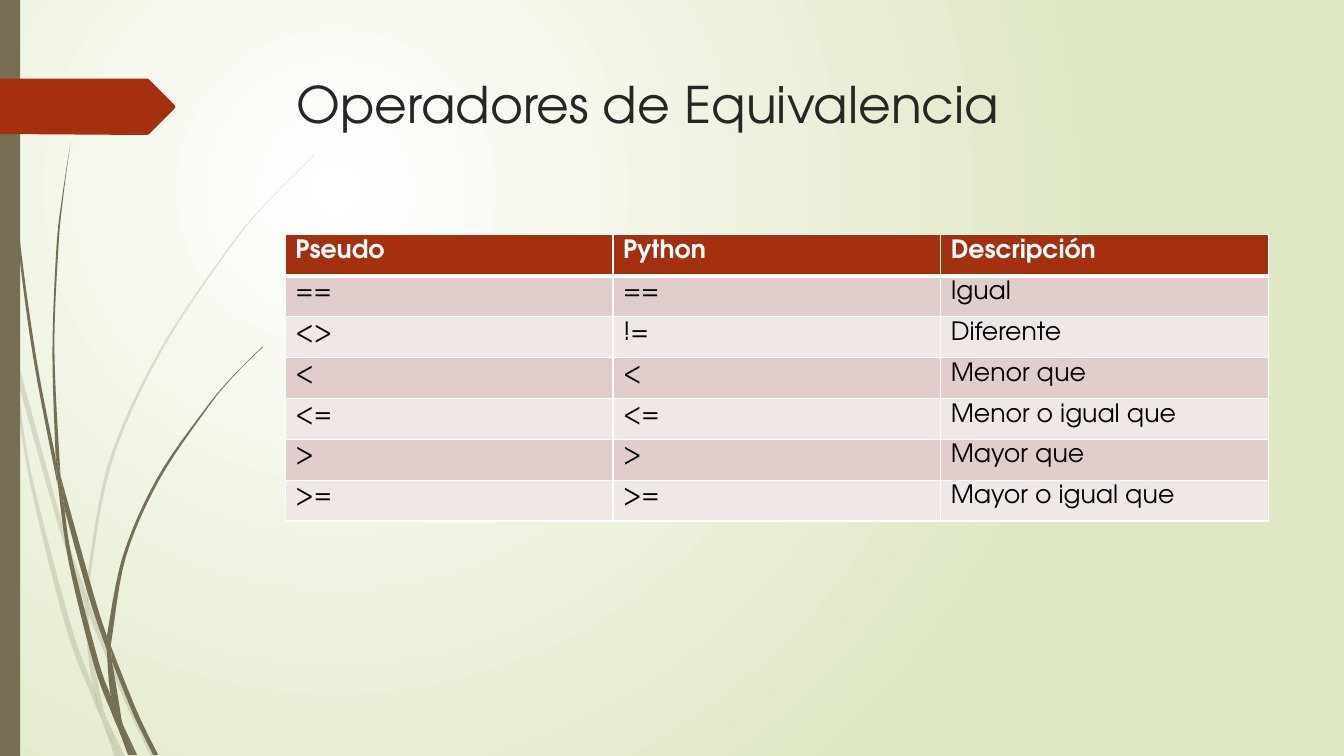
import pptx
import pptx.util
import pptx.dml.color
import pptx.enum.shapes
import pptx.enum.text
import pptx.oxml
import pptx.oxml.ns
from pptx.util import Inches

FONT = "TeX Gyre Adventor"
OLIVE, RUST, WHITE, INK, BLACK = "766F54", "A53010", "FFFFFF", "262626", "000000"
BANDS = ["E1CDCC", "F0E8E7"]
NS = 'xmlns:a="http://schemas.openxmlformats.org/drawingml/2006/main"'

# Each grass piece is a closed outline: smooth edges split by "|", knots in inches.
PALE_GRASS = [
    "0.11,3.5 0.09,3.22 0,2.82 | 0,2.99 0.1,3.44",
    "0.17,3.76 0.58,5.22 0.84,5.99 | 0.85,5.86 0.62,5.2 0.14,3.45",
    "0.88,6.1 1.23,6.94 1.5,7.51 | 1.55,7.51 1.27,6.92 0.92,6.07 0.88,5.96",
    "1.05,7.11 1.19,7.51 | 1.24,7.51 1.05,7.11",
    "0.11,3.5 0.28,4.7 0.65,6.21 0.92,6.93 1.01,7.14 | "
    "0.99,7.07 0.93,6.83 0.7,6.19 0.31,4.69 0.17,3.76",
    "0.84,5.99 0.87,6.46 0.93,6.83 1.05,7.11 | 1.03,7.06 0.91,6.46 0.88,6.1",
    "0.88,5.96 0.88,5.84 1.1,4.62 1.6,3.49 2.29,2.45 2.68,1.98 3.12,1.54 | "
    "3.12,1.53 2.68,1.97 2.28,2.44 1.58,3.48 1.07,4.61 0.85,5.84",
    "1.01,7.14 1.14,7.51 | 1.19,7.51 1.01,7.14",
    "0.88,6.1 0.88,5.96 | 0.85,5.86 0.84,5.99",
    "0.93,6.83 1.01,7.14 1.19,7.51 | 1.05,7.11 0.96,6.92",
]
DARK_GRASS = [
    "0.04,0 0.08,1.09 0.19,2.32 0.36,3.55 0.55,4.53 | "
    "0.57,4.81 0.33,3.55 0.17,2.33 0.07,1.1 0.03,0",
    "0.64,5.05 0.88,5.92 1.06,6.45 | 1.06,6.31 0.93,5.9 0.6,4.72",
    "1.11,6.56 1.32,7.08 1.52,7.49 | 1.57,7.49 1.36,7.06 1.1,6.41",
    "0.57,4.77 0.68,5.57 0.93,6.59 1.11,7.08 1.17,7.22 | "
    "1.16,7.17 1.1,6.91 0.98,6.57 0.72,5.56 0.64,5.05",
    "0.6,4.72 0.54,3.49 0.58,2.45 0.63,1.93 0.7,1.41 | "
    "0.7,1.41 0.62,1.93 0.56,2.45 0.52,3.49 0.55,4.49",
    "1.22,7.19 1.33,7.49 | 1.36,7.49 1.22,7.19",
    "0.55,4.49 0.57,4.77 0.64,5.05 | 0.6,4.72 0.55,4.49",
    "1.1,6.41 1.11,6.33 1.25,5.52 1.58,4.76 2.05,4.06 2.31,3.74 2.61,3.44 | "
    "2.6,3.44 2.31,3.73 2.04,4.05 1.56,4.74 1.22,5.51 1.06,6.31",
    "1.17,7.22 1.27,7.49 | 1.31,7.49 1.17,7.22",
    "1.06,6.45 1.1,6.91 1.22,7.19 | 1.21,7.16 1.11,6.56 1.06,6.45",
    "1.06,6.45 1.11,6.56 | 1.1,6.41 1.06,6.31",
    "1.1,6.91 1.17,7.22 1.3,7.49 | 1.33,7.49 1.22,7.19 1.1,6.91",
]
OPERATORS = [
    ("Pseudo", "Python", "Descripción"),
    ("==", "==", "Igual"),
    ("<>", "!=", "Diferente"),
    ("<", "<", "Menor que"),
    ("<=", "<=", "Menor o igual que"),
    (">", ">", "Mayor que"),
    (">=", ">=", "Mayor o igual que"),
]


def rgb(value):
    """Turn a hex string into a colour."""
    return pptx.dml.color.RGBColor.from_string(value)


def smooth(knots, steps=6):
    """Sample a Catmull-Rom curve through the knots."""
    padded = [knots[0], *knots, knots[-1]]
    points = [knots[0]]
    for a, b, c, d in zip(padded, padded[1:], padded[2:], padded[3:]):
        for i in range(1, steps + 1):
            t = i / steps
            points.append(tuple(
                q + t * (r - p) / 2 + t**2 * (p - 2.5 * q + 2 * r - u / 2)
                + t**3 * (3 * (q - r) + u - p) / 2
                for p, q, r, u in zip(a, b, c, d)))
    return points


def outline(text):
    """Turn a grass piece into its outline points."""
    points = []
    for edge in text.split("|"):
        points += smooth([tuple(map(float, k.split(","))) for k in edge.split()])
    return points


class Page:
    """The current slide and its text style."""

    def __init__(self, prs, font):
        """Add a title-only slide."""
        self.s = prs.slides.add_slide(prs.slide_layouts[5])
        self.font = font

    def background(self, inner, outer):
        """Fill the background with a radial gradient."""
        fill = self.s.background.fill
        fill.gradient()
        for stop, colour, place in zip(fill.gradient_stops, (inner, outer), (0, 1)):
            stop.color.rgb = rgb(colour)
            stop.position = place
        lin = self.s._element.find(".//" + pptx.oxml.ns.qn("a:lin"))
        lin.getparent().replace(lin, pptx.oxml.parse_xml(
            f'<a:path {NS} path="circle"><a:fillToRect l="50000" t="50000" '
            'r="100000" b="100000"/></a:path>'))

    def paint(self, sp, colour, alpha=100):
        """Give a shape a flat fill without line or shadow."""
        sp.shadow.inherit = False
        sp.line.fill.background()
        sp.fill.solid()
        sp.fill.fore_color.rgb = rgb(colour)
        if alpha < 100:
            clr = sp._element.spPr.find(".//" + pptx.oxml.ns.qn("a:srgbClr"))
            clr.append(pptx.oxml.parse_xml(f'<a:alpha {NS} val="{alpha * 1000}"/>'))

    def polygon(self, points, colour, alpha=100, shapes=None):
        """Draw a closed outline on the slide or in a group."""
        pts = [(Inches(x), Inches(y)) for x, y in points]
        builder = (shapes or self.s.shapes).build_freeform(*pts[0])
        builder.add_line_segments(pts[1:], close=True)
        self.paint(builder.convert_to_shape(), colour, alpha)

    def grass(self, pieces, colour, alpha=100):
        """Draw a group of grass pieces."""
        grp = self.s.shapes.add_group_shape()
        for piece in pieces:
            self.polygon(outline(piece), colour, alpha, grp.shapes)

    def bar(self, x, y, w, h, colour):
        """Draw a plain rectangle."""
        sp = self.s.shapes.add_shape(
            pptx.enum.shapes.MSO_SHAPE.RECTANGLE,
            Inches(x), Inches(y), Inches(w), Inches(h))
        self.paint(sp, colour)

    def add_text(self, tf, text, size, colour, bold=False):
        """Add one left-aligned run to the first paragraph."""
        p = tf.paragraphs[0]
        p.alignment = pptx.enum.text.PP_ALIGN.LEFT
        r = p.add_run()
        r.text = text
        r.font.name, r.font.size, r.font.bold = self.font, pptx.util.Pt(size), bold
        r.font.color.rgb = rgb(colour)

    def title(self, text, x, y, w, h):
        """Place the title placeholder in front and fill it."""
        sp = self.s.shapes.title
        sp.left, sp.top, sp.width, sp.height = map(Inches, (x, y, w, h))
        sp.text_frame.vertical_anchor = pptx.enum.text.MSO_ANCHOR.TOP
        self.add_text(sp.text_frame, text, 36, INK)
        self.s.shapes._spTree.append(sp._element)

    def border(self, cell, widths):
        """Set white cell borders; widths are left, right, top, bottom in points."""
        tc_pr = cell._tc.get_or_add_tcPr()
        for i, (side, width) in enumerate(zip("LRTB", widths)):
            tc_pr.insert(i, pptx.oxml.parse_xml(
                f'<a:ln{side} {NS} w="{pptx.util.Pt(width)}"><a:solidFill>'
                f'<a:srgbClr val="{WHITE}"/></a:solidFill></a:ln{side}>'))

    def table(self, rows, x, y, w, h):
        """Add a table with a header row and banded body rows."""
        tbl = self.s.shapes.add_table(
            len(rows), len(rows[0]), Inches(x), Inches(y), Inches(w), Inches(h)).table
        for i, row in enumerate(rows):
            for j, text in enumerate(row):
                cell, head = tbl.cell(i, j), i == 0
                cell.fill.solid()
                cell.fill.fore_color.rgb = rgb(RUST if head else BANDS[(i - 1) % 2])
                self.add_text(cell.text_frame, text, 18, WHITE if head else BLACK, head)
                self.border(cell, (1, 1, 3 if i == 1 else 1, 3 if head else 1))


prs = pptx.Presentation()
prs.slide_width, prs.slide_height = Inches(13.33), Inches(7.5)
page = Page(prs, FONT)
page.background(WHITE, "DFE8C4")
page.grass(PALE_GRASS, OLIVE, 20)
page.grass(DARK_GRASS, OLIVE)
page.bar(0, 0, 0.2, 7.5, OLIVE)
page.polygon([(0, 0.78), (1.46, 0.78), (1.48, 0.79), (1.73, 1.04), (1.74, 1.06),
              (1.73, 1.08), (1.48, 1.33), (1.46, 1.34), (0, 1.33)], RUST)
page.title("Operadores de Equivalencia", 2.84, 0.68, 9.75, 1.4)
page.table(OPERATORS, 2.83, 2.33, 9.75, 2.84)
prs.save("out.pptx")
